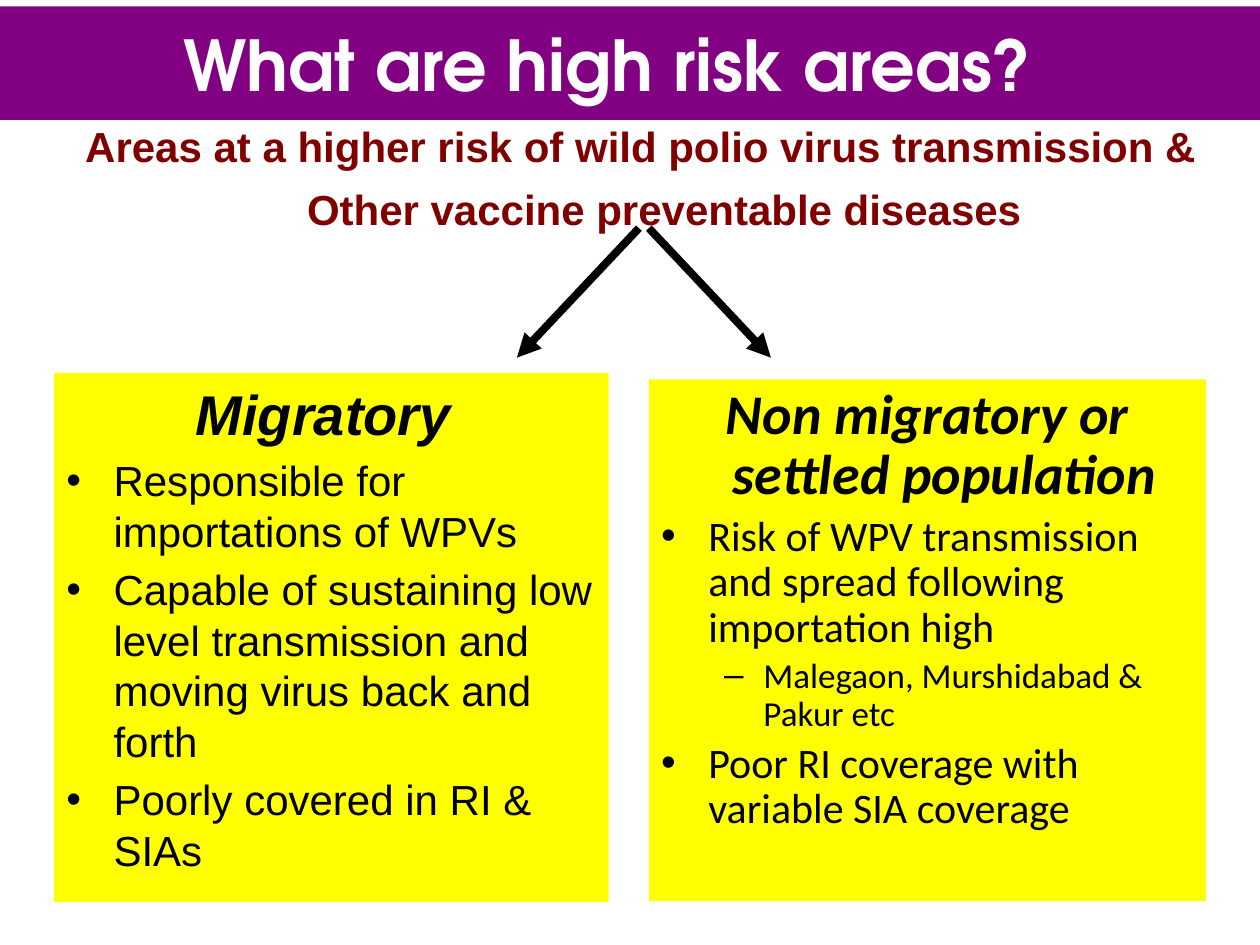
from lxml import etree
from pptx import Presentation
from pptx import util as u
from pptx.dml.color import RGBColor
from pptx.enum import shapes, text
from pptx.oxml import ns

COLORS = {
    "banner": "820082",
    "title": "FFFFFF",
    "subtitle": "800000",
    "panel": "FFFF00",
    "ink": "000000",
}
HANG = 0.95  # hanging indent of first-level text, cm


def color(name):
    return RGBColor.from_string(COLORS[name])


def add_panel(slide, left, top, width, height, fill):
    """Borderless filled rectangle, ready for top-anchored text."""
    panel = slide.shapes.add_shape(
        shapes.MSO_SHAPE.RECTANGLE, u.Cm(left), u.Cm(top), u.Cm(width), u.Cm(height))
    panel.shadow.inherit = False
    panel.fill.solid()
    panel.fill.fore_color.rgb = color(fill)
    panel.line.fill.background()
    panel.text_frame.word_wrap = True
    panel.text_frame.vertical_anchor = text.MSO_ANCHOR.TOP
    return panel


def write(frame, words, size=24, font="Arial", ink="ink", bold=False, italic=False,
          centred=False, margin=0, hang=0, bullet=None, spacing=1.0):
    """Add one paragraph; every paragraph but the first gets space before it."""
    first = not frame.paragraphs[0].runs
    paragraph = frame.paragraphs[0] if first else frame.add_paragraph()
    props = paragraph._p.get_or_add_pPr()
    props.set("marL", str(u.Cm(margin)))
    props.set("indent", str(-u.Cm(hang)))
    if bullet:
        etree.SubElement(props, ns.qn("a:buFont")).set("typeface", "Arial")
        etree.SubElement(props, ns.qn("a:buChar")).set("char", bullet)
    paragraph.alignment = text.PP_ALIGN.CENTER if centred else text.PP_ALIGN.LEFT
    paragraph.line_spacing = spacing
    paragraph.space_before = u.Pt(0 if first else size * 0.2)
    run = paragraph.add_run()
    run.text = words
    run.font.size = u.Pt(size)
    run.font.name = font
    run.font.bold = bold
    run.font.italic = italic
    run.font.color.rgb = color(ink)


def write_group(frame, heading, points, **style):
    """Italic heading followed by (level, words) bullet points."""
    write(frame, heading, size=32, bold=True, italic=True, centred=True,
          margin=HANG, hang=HANG, **style)
    for level, words in points:
        if level == 0:
            write(frame, words, margin=HANG, hang=HANG, bullet="•", **style)
        else:
            write(frame, words, size=20, margin=2.06, hang=0.79, bullet="–", **style)


def add_arrow(slide, start_x, start_y, end_x, end_y):
    arrow = slide.shapes.add_connector(
        shapes.MSO_CONNECTOR.STRAIGHT,
        u.Cm(start_x), u.Cm(start_y), u.Cm(end_x), u.Cm(end_y))
    arrow.line.color.rgb = color("ink")
    arrow.line.width = u.Pt(4.5)
    etree.SubElement(arrow.line._get_or_add_ln(), ns.qn("a:tailEnd")).set("type", "triangle")
    etree.SubElement(arrow._element.spPr, ns.qn("a:effectLst"))


def main():
    deck = Presentation()
    deck.slide_width, deck.slide_height = u.Cm(25.4), u.Cm(19.05)
    slide = deck.slides.add_slide(deck.slide_layouts[6])

    # Settled population
    settled = add_panel(slide, 13.08, 7.65, 11.23, 10.52, "panel")
    write_group(settled.text_frame, "Non migratory or settled population ", [
        (0, "Risk of WPV transmission and spread following importation high"),
        (1, "Malegaon, Murshidabad & Pakur etc"),
        (0, "Poor RI coverage with variable SIA coverage"),
    ], font="Calibri", spacing=0.9)

    # Migratory population
    migratory = add_panel(slide, 1.09, 7.52, 11.18, 10.67, "panel")
    write_group(migratory.text_frame, "Migratory ", [
        (0, "Responsible for importations of WPVs"),
        (0, "Capable of sustaining low level transmission and moving virus back and forth"),
        (0, "Poorly covered in RI & SIAs"),
    ])

    # Arrows from the definition to the two groups
    for start_x, reach in ((12.88, -2.46), (13.08, 2.46)):
        add_arrow(slide, start_x, 4.6, start_x + reach, 7.21)

    # Definition
    definition = slide.shapes.add_textbox(u.Cm(1.09), u.Cm(2.06), u.Cm(23.65), u.Cm(1.7))
    definition.text_frame.word_wrap = True
    write(definition.text_frame,
          "Areas at a higher risk of wild polio virus transmission & "
          "Other vaccine preventable diseases",
          ink="subtitle", bold=True, centred=True, margin=HANG, hang=HANG, spacing=1.25)

    # Title banner, its text slightly left of centre
    banner = add_panel(slide, 0, 0.13, 25.4, 2.29, "banner")
    banner.text_frame.vertical_anchor = text.MSO_ANCHOR.MIDDLE
    banner.text_frame.margin_right = u.Cm(1.15)
    write(banner.text_frame, "What are high risk areas?", size=40,
          font="TeX Gyre Adventor", ink="title", bold=True, centred=True)

    deck.save("out.pptx")


if __name__ == "__main__":
    main()
